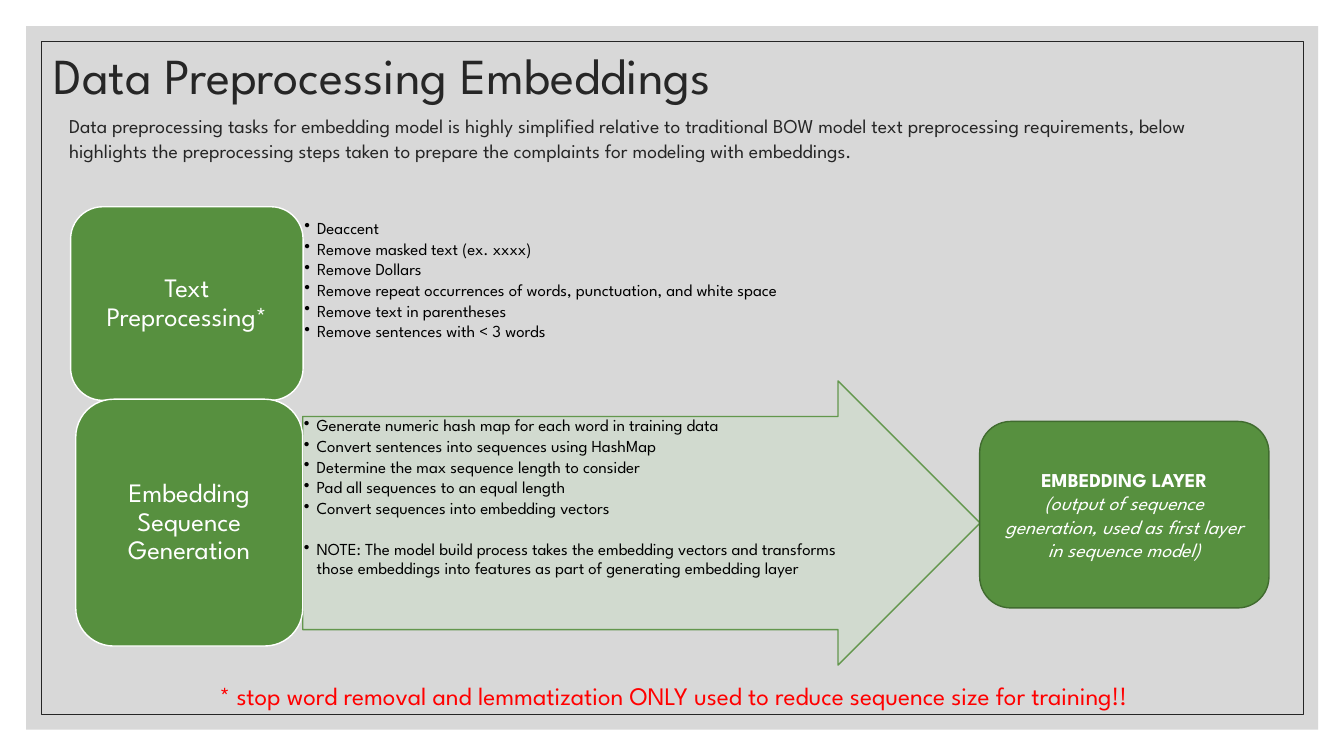
from lxml import etree
from pptx import Presentation
from pptx.dml.color import RGBColor
from pptx.enum.shapes import MSO_SHAPE
from pptx.enum.text import MSO_ANCHOR, PP_ALIGN
from pptx.oxml.ns import qn
from pptx.util import Cm, Pt

RECT, ROUND, ARROW = MSO_SHAPE.RECTANGLE, MSO_SHAPE.ROUNDED_RECTANGLE, MSO_SHAPE.RIGHT_ARROW
TOP, MIDDLE = MSO_ANCHOR.TOP, MSO_ANCHOR.MIDDLE
LEFT, CENTER = PP_ALIGN.LEFT, PP_ALIGN.CENTER
FONT = "League Spartan"
COLORS = {
    "panel": "BFBFBF", "ink": "262626", "green": "57903F", "edge": "406B2F",
    "pale": "D1DBCF", "white": "FFFFFF", "black": "000000", "red": "FF0000",
}
CLEAN = ["Deaccent", "Remove masked text (ex. xxxx)", "Remove Dollars",
         "Remove repeat occurrences of words, punctuation, and white space",
         "Remove text in parentheses", "Remove sentences with < 3 words"]
BUILD = ["Generate numeric hash map for each word in training data",
         "Convert sentences into sequences using HashMap",
         "Determine the max sequence length to consider",
         "Pad all sequences to an equal length",
         "Convert sequences into embedding vectors"]
NOTE = ("NOTE: The model build process takes the embedding vectors and transforms "
        "those embeddings into features as part of generating embedding layer")


def rgb(name):
    return RGBColor.from_string(COLORS[name])


def fade(paint, percent):
    """Set the opacity of a solid fill element."""
    color = paint.find(qn("a:srgbClr"))
    etree.SubElement(color, qn("a:alpha"), val=str(percent * 1000))


def add_shape(slide, kind, box, fill=None, line=None, width=1, alpha=None):
    shape = slide.shapes.add_shape(kind, *map(Cm, box))
    shape.shadow.inherit = False
    props = shape._element.spPr
    if fill:
        shape.fill.solid()
        shape.fill.fore_color.rgb = rgb(fill)
        if alpha:
            fade(props.find(qn("a:solidFill")), alpha)
    else:
        shape.fill.background()
    if line:
        shape.line.color.rgb = rgb(line)
        shape.line.width = Pt(width)
        if alpha:
            fade(props.find(qn("a:ln")).find(qn("a:solidFill")), alpha)
    else:
        shape.line.fill.background()
    return shape


def set_frame(shape, anchor=TOP, side=0.25, edge=0.13):
    frame = shape.text_frame
    frame.word_wrap = True
    frame.vertical_anchor = anchor
    frame.margin_left = frame.margin_right = Cm(side)
    frame.margin_top = frame.margin_bottom = Cm(edge)
    return frame


def add_text(frame, text, size, color, align=LEFT, space=1.0, bold=False, italic=False):
    """Fill the first paragraph if it is free, otherwise add one."""
    last = frame.paragraphs[-1]
    para = frame.add_paragraph() if last.runs else last
    para.alignment, para.line_spacing = align, space
    run = para.add_run()
    run.text = text
    font = run.font
    font.name, font.size, font.bold, font.italic = FONT, Pt(size), bold, italic
    font.color.rgb = rgb(color)
    return para


def add_label(slide, box, text, size, color, anchor=TOP, **style):
    frame = set_frame(slide.shapes.add_textbox(*map(Cm, box)), anchor)
    return add_text(frame, text, size, color, **style)


def add_list(slide, box, items):
    frame = set_frame(slide.shapes.add_textbox(*map(Cm, box)), side=0.03, edge=0.03)
    for item in items:
        para = add_text(frame, item, 12, "black", space=0.9)
        para.space_after = Pt(1.8)
        props = para._p.get_or_add_pPr()
        props.set("marL", str(Cm(0.32)))
        props.set("indent", str(Cm(-0.32)))
        etree.SubElement(props, qn("a:buChar"), char="•")
    return frame


def draw_panel(slide, x, y, w, h):
    inset = 0.38
    add_shape(slide, RECT, (x, y, w, h), "panel", alpha=60)
    add_shape(slide, RECT, (x + inset, y + inset, w - 2 * inset, h - 2 * inset),
              line="ink", width=0.5)


def draw_head(slide, x, y, w):
    add_label(slide, (x, y, 20.6, 1.78), "Data Preprocessing Embeddings", 36, "ink",
              MIDDLE, space=0.9)
    intro = add_label(
        slide, (x + 0.38, y + 1.58, w, 2.31),
        "Data preprocessing tasks for embedding model is highly simplified relative to "
        "traditional BOW model text preprocessing requirements, below highlights the "
        "preprocessing steps taken to prepare the complaints for modeling with embeddings.",
        14, "ink", space=1.1)
    intro.space_before = Pt(9)


def draw_step(slide, box, name):
    tile = add_shape(slide, ROUND, box, "green", "white")
    frame = set_frame(tile, MIDDLE, side=0.2, edge=0.1)
    add_text(frame, name, 19, "white", CENTER, 0.9)


def draw_clean(slide, x, y, w, h):
    add_list(slide, (x + w, y + 0.3, 15.52, 3.66), CLEAN)
    draw_step(slide, (x, y, w, h), "Text Preprocessing*")


def draw_build(slide, x, y, w, h):
    right = x + w
    arrow = add_shape(slide, ARROW, (right, y - 0.46, 17.07, 7.16), "pale", "green", alpha=90)
    arrow.adjustments[0], arrow.adjustments[1] = 0.75, 0.5
    frame = add_list(slide, (right, y + 0.43, 14.4, 5.36), BUILD + [NOTE])
    frame.paragraphs[-1].space_before = Pt(14.75)
    draw_step(slide, (x, y, w, h), "Embedding Sequence Generation")


def draw_layer(slide, *box):
    frame = set_frame(add_shape(slide, ROUND, box, "green", "edge"), MIDDLE)
    add_text(frame, "EMBEDDING LAYER", 14, "white", CENTER, bold=True)
    add_text(frame, "(output of sequence generation, used as first layer in sequence model)",
             14, "white", CENTER, italic=True)


def main():
    deck = Presentation()
    deck.slide_width, deck.slide_height = Cm(33.87), Cm(19.05)
    slide = deck.slides.add_slide(deck.slide_layouts[6])
    draw_panel(slide, 0.66, 0.66, 32.56, 17.73)
    draw_head(slide, 1.11, 1.09, 30.48)
    draw_clean(slide, 1.78, 5.21, 5.86, 4.88)
    draw_build(slide, 1.91, 10.06, 5.72, 6.22)
    draw_layer(slide, 24.69, 10.62, 7.29, 4.7)
    add_label(slide, (1.11, 17.02, 31.75, 1.02),
              "* stop word removal and lemmatization ONLY used to reduce sequence size "
              "for training!!", 18, "red", align=CENTER)
    deck.save("out.pptx")


if __name__ == "__main__":
    main()
